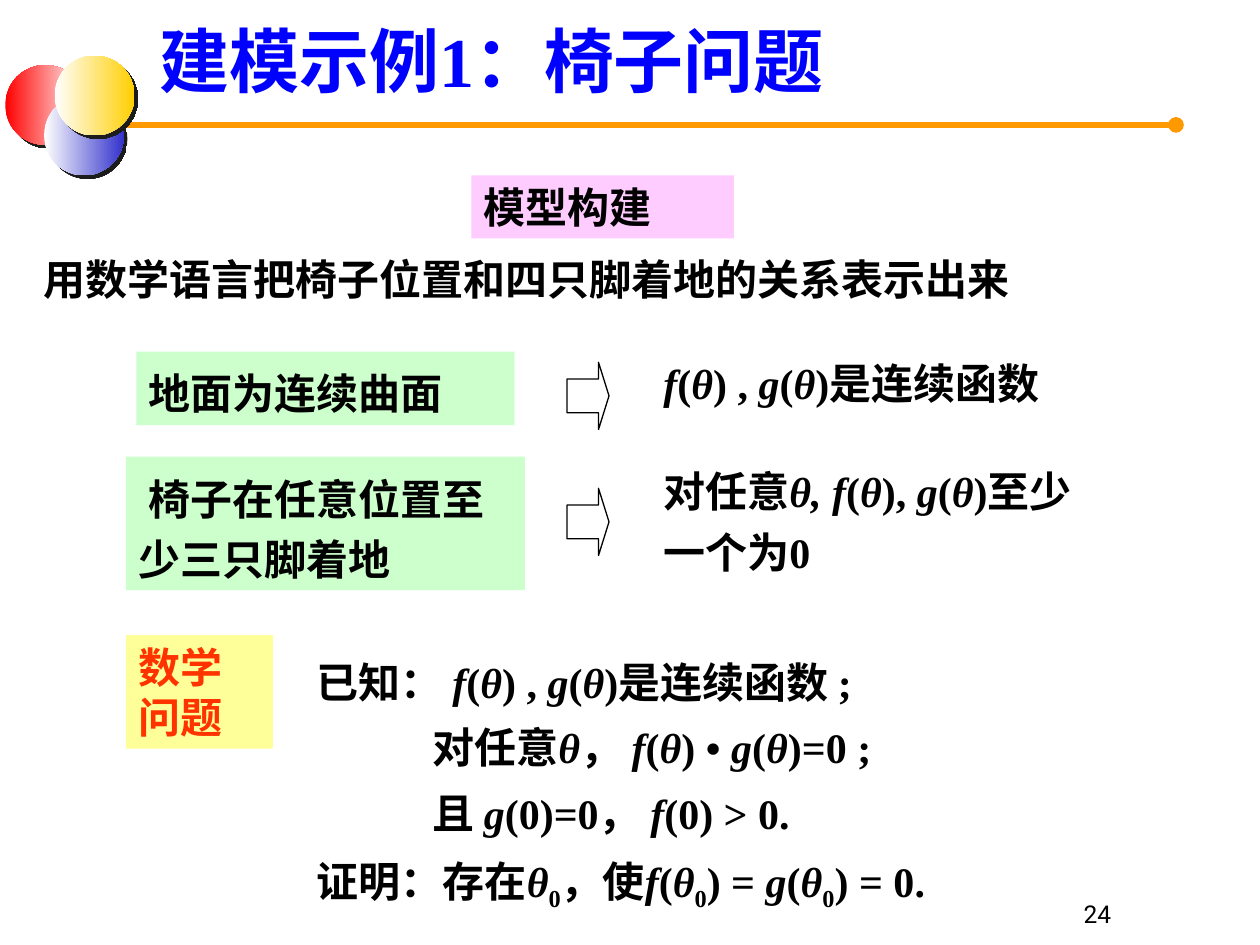
from dataclasses import dataclass
from itertools import cycle

from lxml.etree import SubElement
from pptx import Presentation
from pptx.dml.color import RGBColor
from pptx.enum.shapes import MSO_CONNECTOR as Connector, MSO_SHAPE as Shape
from pptx.enum.text import MSO_ANCHOR as Anchor, PP_ALIGN as Align
from pptx.oxml.ns import qn
from pptx.util import Inches, Pt

CELLS_PER_INCH = 12


@dataclass(frozen=True)
class Theme:
    font: str = "Times New Roman"
    number_font: str = "Roboto"
    title_size: int = 40
    body_size: int = 24
    number_size: int = 14
    ink: str = "000000"
    title: str = "0000FF"
    problem: str = "FF3300"
    paper: str = "FFFFFF"
    pink: str = "FFCCFF"
    green: str = "CCFFCC"
    yellow: str = "FFFF99"
    rule: str = "FF9900"
    shadow: str = "1C1C1C"
    ball_red: str = "FF0000"
    ball_blue: str = "3333CC"
    ball_gold: str = "FFCF01"


THEME = Theme()


def grid(*cells):
    """Turn columns and rows of the 120 by 90 grid into lengths."""
    return [Inches(cell / CELLS_PER_INCH) for cell in cells]


def rgb(color):
    return RGBColor.from_string(color)


def style(span, size, color, font=THEME.font, bold=True):
    span.font.name = font
    span.font.size = Pt(size)
    span.font.bold = bold
    span.font.color.rgb = rgb(color)


def write_marked(para, text, size, color):
    """Write text where *...* is italic and a digit after _ is a subscript."""
    for part, italic in zip(text.split("*"), cycle((False, True))):
        for index, piece in enumerate(part.split("_")):
            pieces = [(piece[:1], True), (piece[1:], False)] if index else [(piece, False)]
            for words, lowered in pieces:
                if not words:
                    continue
                span = para.add_run()
                span.text = words
                style(span, size, color)
                span.font.italic = italic
                if lowered:
                    span.font._element.set("baseline", "-25000")


def add_text(page, place, lines, fill=None, color=THEME.ink,
             size=THEME.body_size, spacing=1.0, first_indent=0):
    """Add a box; each line is marked text with its left indent in columns."""
    if fill:
        box = page.shapes.add_shape(Shape.RECTANGLE, *grid(*place))
        box.shadow.inherit = False
        box.fill.solid()
        box.fill.fore_color.rgb = rgb(fill)
        box.line.fill.background()
    else:
        box = page.shapes.add_textbox(*grid(*place))
    frame = box.text_frame
    frame.word_wrap = True
    frame.vertical_anchor = Anchor.TOP
    for index, (text, indent) in enumerate(lines):
        para = frame.add_paragraph() if index else frame.paragraphs[0]
        para.alignment = Align.LEFT
        para.line_spacing = spacing
        properties = para._p.get_or_add_pPr()
        properties.set("marL", str(grid(indent)[0]))
        properties.set("indent", str(grid(first_indent)[0]))
        write_marked(para, text, size, color)


def add_arrow(page, row):
    arrow = page.shapes.add_shape(Shape.RIGHT_ARROW, *grid(54, row, 4, 6.4))
    arrow.shadow.inherit = False
    arrow.adjustments[0] = 0.5
    arrow.adjustments[1] = 0.25
    arrow.fill.background()
    arrow.line.color.rgb = rgb(THEME.ink)
    arrow.line.width = Pt(0.75)


def add_rule(page):
    rule = page.shapes.add_connector(Connector.STRAIGHT, *grid(6.1, 11.9, 112, 11.9))
    rule.line.color.rgb = rgb(THEME.rule)
    rule.line.width = Pt(3)
    outline = rule.line._get_or_add_ln()
    for end in ("a:headEnd", "a:tailEnd"):
        SubElement(outline, qn(end), type="oval")
    SubElement(rule._element.spPr, qn("a:effectLst"))


def add_ball(group, column, row, colors):
    ball = group.shapes.add_shape(Shape.OVAL, *grid(column, row, 7.6, 7.6))
    ball.line.fill.background()
    ball.fill.gradient()
    ball.fill.gradient_angle = 0
    for stop, color in zip(ball.fill.gradient_stops, colors):
        stop.color.rgb = rgb(color)
    ball.shadow.inherit = False
    effects = ball._element.spPr.find(qn("a:effectLst"))
    shadow = SubElement(effects, qn("a:outerShdw"), dist=str(Pt(2.8)),
                        dir="2700000", algn="ctr", rotWithShape="0")
    SubElement(shadow, qn("a:srgbClr"), val=THEME.shadow)


def add_balls(page):
    group = page.shapes.add_group_shape()
    add_ball(group, 0.5, 6.2, (THEME.ball_red, THEME.paper))
    add_ball(group, 4.2, 9.1, (THEME.paper, THEME.ball_blue))
    add_ball(group, 5.2, 5.3, (THEME.paper, THEME.ball_gold))


def add_number(page, text):
    box = page.shapes.add_textbox(*grid(82, 83, 25, 6))
    frame = box.text_frame
    frame.word_wrap = True
    frame.vertical_anchor = Anchor.BOTTOM
    para = frame.paragraphs[0]
    para.text = text
    para.alignment = Align.RIGHT
    style(para.runs[0], THEME.number_size, THEME.ink, THEME.number_font, bold=False)


def main():
    deck = Presentation()
    deck.slide_width, deck.slide_height = grid(120, 90)
    page = deck.slides.add_slide(deck.slide_layouts[6])
    functions = "*f*(*θ*) , *g*(*θ*)是连续函数"

    add_rule(page)
    add_balls(page)
    add_text(page, (14, 1.1, 103.3, 7.9), [("建模示例1：椅子问题", 0)],
             THEME.paper, THEME.title, THEME.title_size)

    add_text(page, (44.9, 16.7, 25, 6), [("模型构建", 0)], THEME.pink)
    add_text(page, (3, 23.6, 112, 6), [("用数学语言把椅子位置和四只脚着地的关系表示出来", 0)])

    add_text(page, (13, 33.5, 36, 7), [("地面为连续曲面", 0)], THEME.green, spacing=1.2)
    add_text(page, (12, 43.5, 38, 12.7), [("椅子在任意位置至少三只脚着地", 0)],
             THEME.green, spacing=1.2, first_indent=1)
    for row in (34.5, 46.5):
        add_arrow(page, row)
    add_text(page, (62, 33.5, 45, 6), [(functions, 0)])
    add_text(page, (62, 42.8, 42, 12.7),
             [("对任意*θ, f*(*θ*), *g*(*θ*)至少一个为0", 0)], spacing=1.2)

    add_text(page, (12, 60.5, 14, 10.8), [("数学问题", 0)], THEME.yellow, THEME.problem)
    add_text(page, (29, 60.5, 74, 26.2), [
        (f"已知： {functions} ;", 0),
        ("对任意*θ*， *f*(*θ*) • *g*(*θ*)=0 ;", 11),
        ("且 *g*(0)=0， *f*(0) > 0.", 11),
        ("证明：存在*θ*_0，使*f*(*θ*_0) = *g*(*θ*_0) = 0.", 0),
    ], spacing=1.3)
    add_number(page, "24")

    deck.save("out.pptx")


if __name__ == "__main__":
    main()
